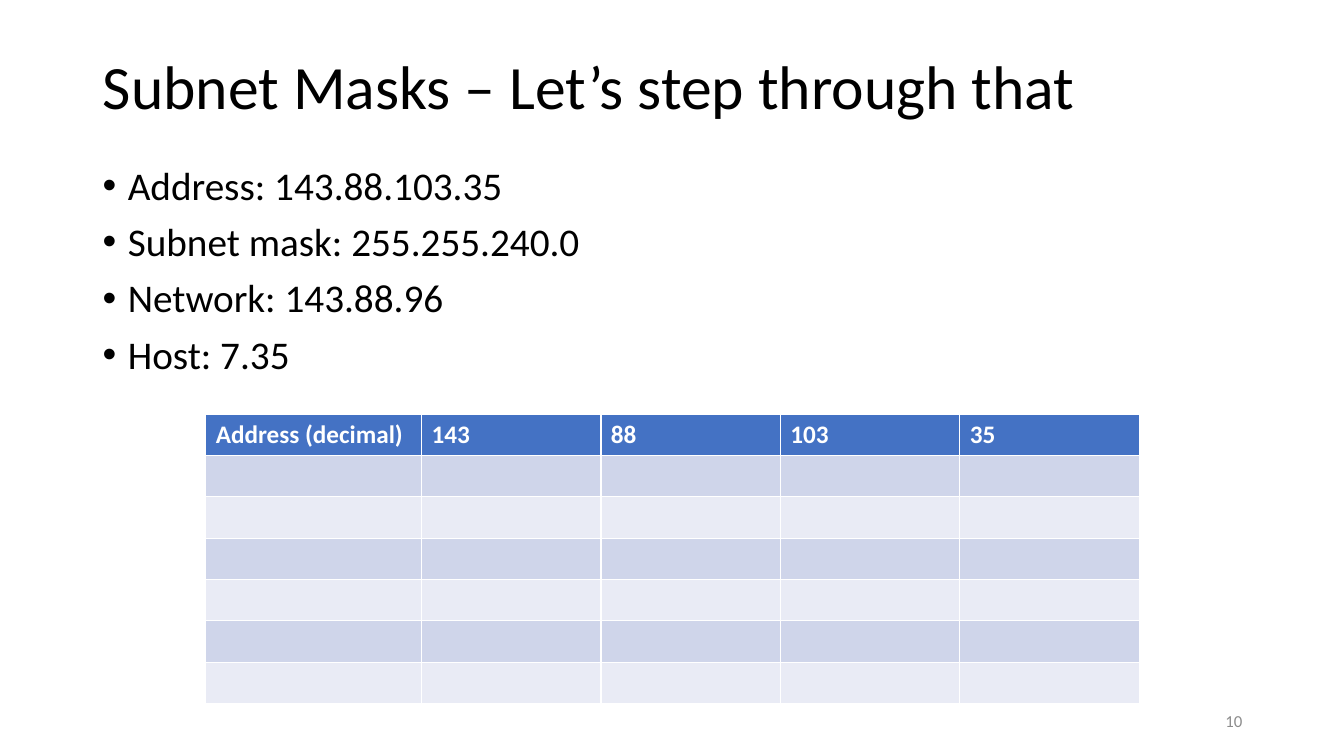
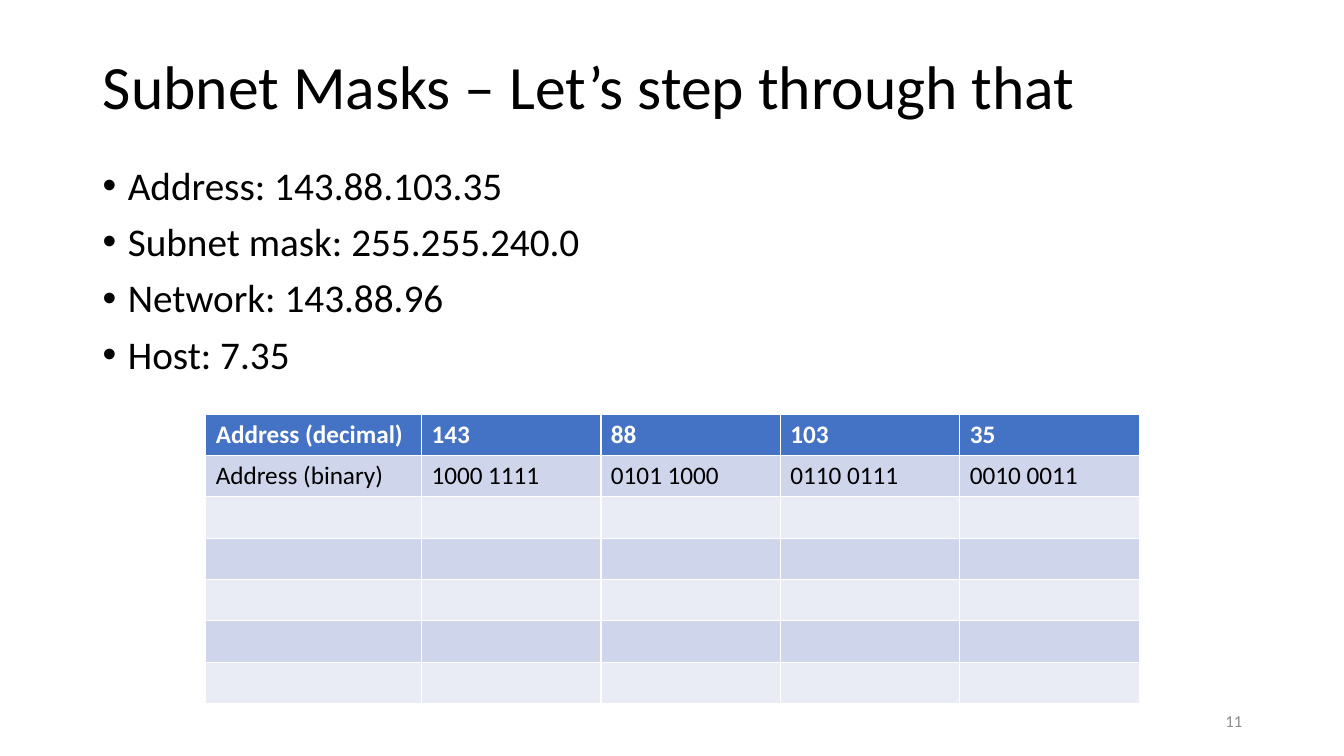
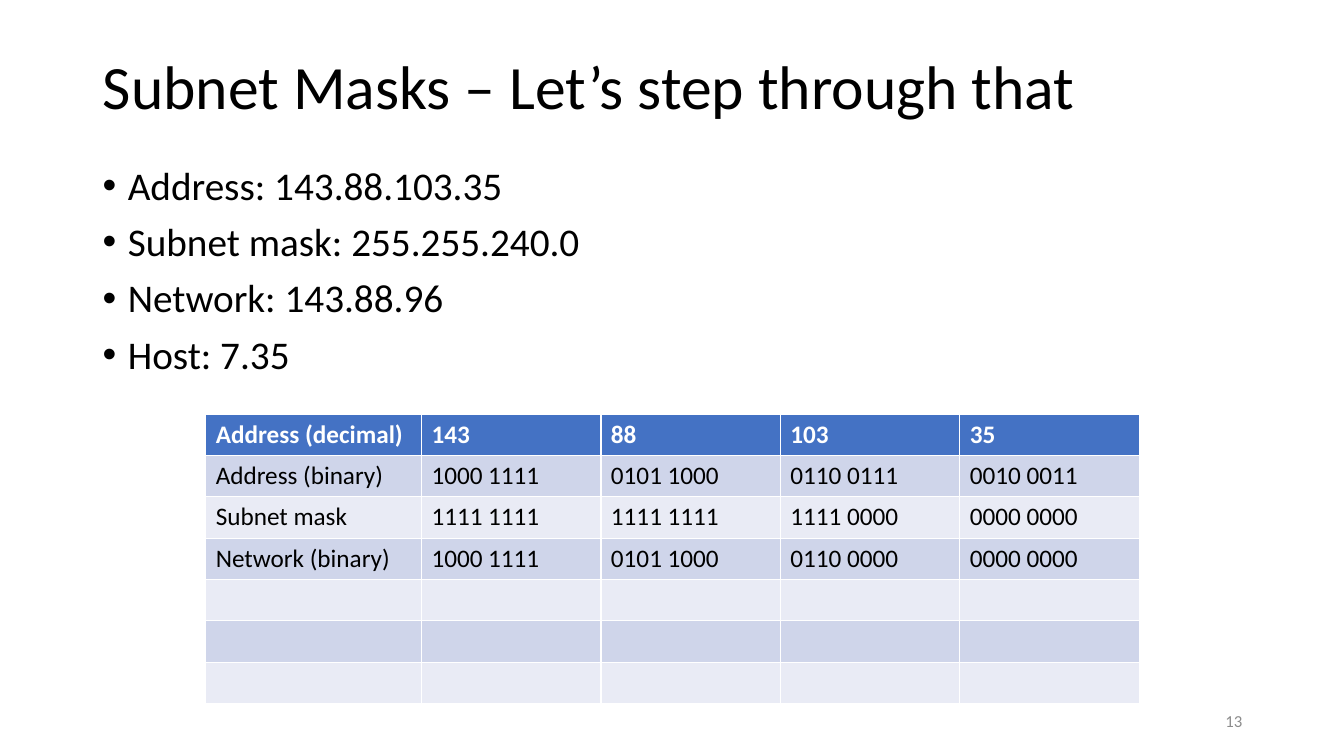
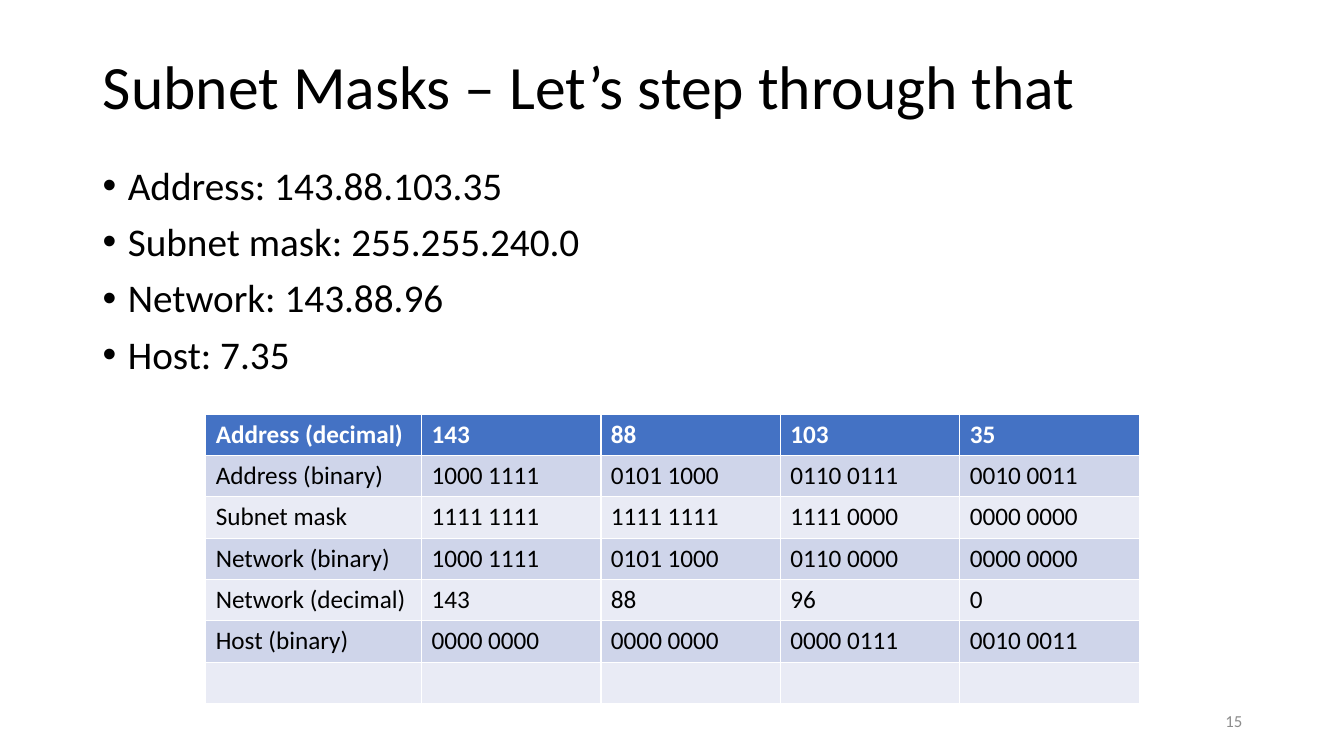
"""Build the subnet mask walk-through, revealing the table step by step."""

from dataclasses import dataclass

from lxml.etree import SubElement
from pptx import Presentation
from pptx.dml.color import RGBColor
from pptx.enum.text import MSO_ANCHOR, MSO_AUTO_SIZE, PP_ALIGN
from pptx.oxml.ns import qn
from pptx.slide import Slide
from pptx.text.text import Font
from pptx.util import Inches, Pt

FONT = "Calibri"
BLACK = RGBColor(0x00, 0x00, 0x00)
WHITE = RGBColor(0xFF, 0xFF, 0xFF)
GRAY = RGBColor(0x8C, 0x8C, 0x8C)
BLUE = RGBColor(0x44, 0x72, 0xC4)
BANDS = (RGBColor(0xE9, 0xEB, 0xF5), RGBColor(0xCF, 0xD5, 0xEA))

LEFT, WIDTH = Inches(0.92), Inches(11.5)
LABEL_WIDTH, OCTET_WIDTH, ROW_HEIGHT = Inches(2.14), Inches(1.78), Inches(0.41)

TITLE = "Subnet Masks – Let’s step through that"
FACTS = (
    "Address: 143.88.103.35",
    "Subnet mask: 255.255.240.0",
    "Network: 143.88.96",
    "Host: 7.35",
)
ROWS = (
    ("Address (decimal)", "143", "88", "103", "35"),
    ("Address (binary)", "1000 1111", "0101 1000", "0110 0111", "0010 0011"),
    ("Subnet mask", "1111 1111", "1111 1111", "1111 0000", "0000 0000"),
    ("Network (binary)", "1000 1111", "0101 1000", "0110 0000", "0000 0000"),
    ("Network (decimal)", "143", "88", "96", "0"),
    ("Host (binary)", "0000 0000", "0000 0000", "0000 0111", "0010 0011"),
)
ROW_COUNT = len(ROWS) + 1


@dataclass(frozen=True)
class Step:
    """A page number and how many table rows are filled in on it."""

    page: int
    filled: int


STEPS = (Step(10, 1), Step(11, 2), Step(13, 4), Step(15, 6))


def style(font: Font, size: int, color: RGBColor, bold: bool = False) -> None:
    """Apply the deck's typeface with a size, colour and weight."""
    font.name, font.size, font.bold = FONT, Pt(size), bold
    font.color.rgb = color


def add_title(s: Slide) -> None:
    """Place and format the title placeholder."""
    sp = s.shapes.title
    sp.left, sp.top, sp.width, sp.height = LEFT, Inches(0.4), WIDTH, Inches(0.97)
    tf = sp.text_frame
    tf.text = TITLE
    tf.auto_size = MSO_AUTO_SIZE.NONE
    tf.vertical_anchor = MSO_ANCHOR.MIDDLE
    p = tf.paragraphs[0]
    p.alignment, p.line_spacing = PP_ALIGN.LEFT, 0.9
    style(p.runs[0].font, 44, BLACK)


def add_facts(s: Slide) -> None:
    """Add the bulleted address facts."""
    tf = s.shapes.add_textbox(LEFT, Inches(1.6), WIDTH, Inches(5.75)).text_frame
    tf.word_wrap = True
    tf.text = "\n".join(FACTS)
    for i, p in enumerate(tf.paragraphs):
        p.line_spacing, p.space_before = 0.9, Pt(10 if i else 0)
        pPr = p._p.get_or_add_pPr()
        pPr.set("marL", str(Inches(0.25)))
        pPr.set("indent", str(-Inches(0.25)))
        SubElement(pPr, qn("a:buFont"), typeface="Arial")
        SubElement(pPr, qn("a:buChar"), char="•")
        style(p.runs[0].font, 28, BLACK)


def add_page_number(s: Slide, page: int) -> None:
    """Add the page number at the lower right."""
    tf = s.shapes.add_textbox(Inches(9.42), Inches(6.95), Inches(3), Inches(0.4)).text_frame
    tf.word_wrap = True
    tf.vertical_anchor = MSO_ANCHOR.MIDDLE
    tf.text = str(page)
    p = tf.paragraphs[0]
    p.alignment = PP_ALIGN.RIGHT
    style(p.runs[0].font, 12, GRAY)


def add_octet_table(s: Slide, filled: int) -> None:
    """Add the octet table with its first rows filled in."""
    widths = [LABEL_WIDTH] + [OCTET_WIDTH] * 4
    table = s.shapes.add_table(
        ROW_COUNT, len(widths), Inches(2.04), Inches(4.11), sum(widths), ROW_HEIGHT * ROW_COUNT
    ).table
    for column, width in zip(table.columns, widths):
        column.width = width
    for i, row in enumerate(table.rows):
        row.height = ROW_HEIGHT
        for j, cell in enumerate(row.cells):
            cell.fill.solid()
            cell.fill.fore_color.rgb = BANDS[i % 2] if i else BLUE
            if i < filled:
                cell.text = ROWS[i][j]
                r = cell.text_frame.paragraphs[0].runs[0]
                style(r.font, 18, BLACK if i else WHITE, bold=i == 0)


def main() -> None:
    """Build and save the deck."""
    prs = Presentation()
    prs.slide_width, prs.slide_height = Inches(13.33), Inches(7.5)
    for step in STEPS:
        s = prs.slides.add_slide(prs.slide_layouts[5])
        add_title(s)
        add_facts(s)
        add_page_number(s, step.page)
        add_octet_table(s, step.filled)
    prs.save("out.pptx")


if __name__ == "__main__":
    main()
